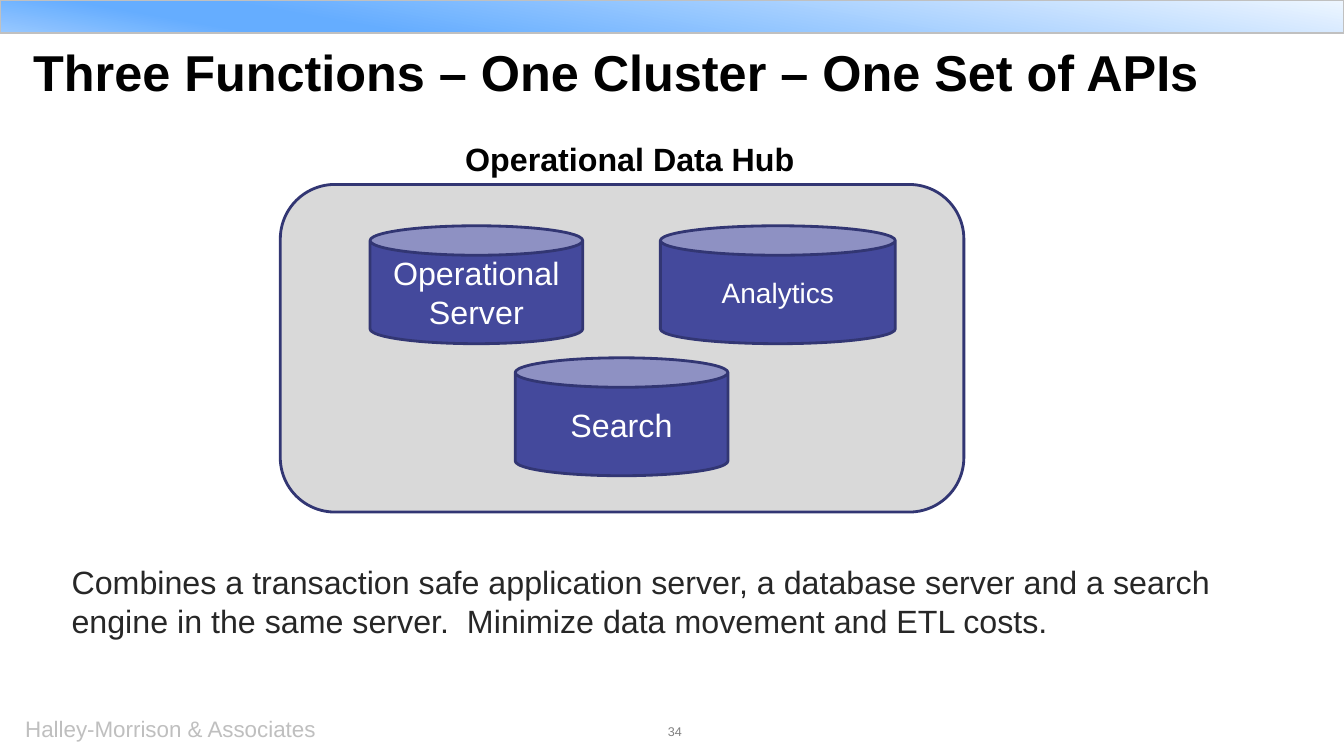
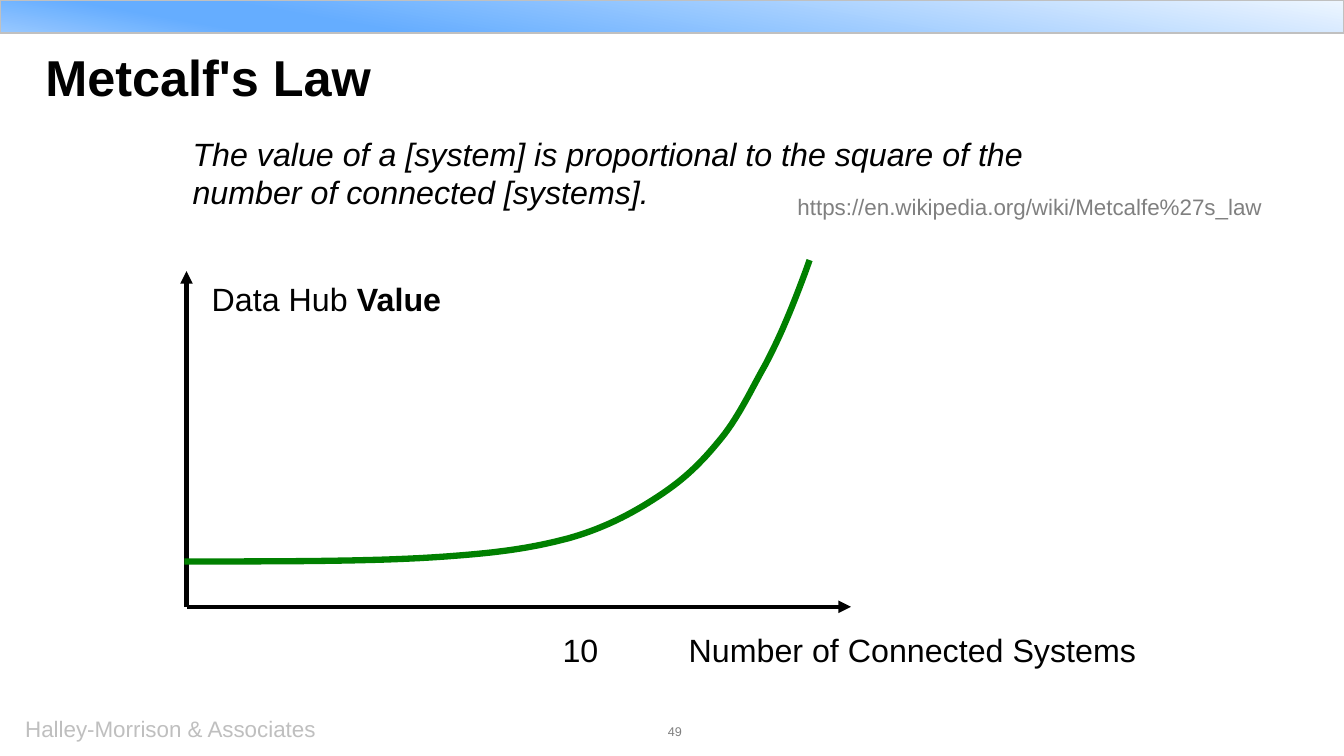
from dataclasses import dataclass

from lxml.etree import SubElement
from pptx import Presentation
from pptx.dml.color import RGBColor
from pptx.enum.shapes import MSO_CONNECTOR, MSO_SHAPE
from pptx.enum.text import MSO_ANCHOR, PP_ALIGN
from pptx.oxml.ns import qn
from pptx.shapes.autoshape import Shape
from pptx.slide import Slide
from pptx.text.text import TextFrame
from pptx.util import Inches, Pt

FONT = "Arial"
COLORS = {
    "ink": "010101",
    "body": "272727",
    "grey": "808080",
    "footer": "BFBFBF",
    "band_line": "C0C0C0",
    "panel": "D9D9D9",
    "can": "44499C",
    "outline": "323673",
    "white": "FFFFFF",
    "curve": "008000",
}
BAND_STOPS = [(0, "EEF6FF"), (74, "65ADFF"), (83, "65ADFF"), (100, "98C8FF")]
SLIDE_WIDTH, SLIDE_HEIGHT = 13.33, 7.5
COMPANY = "Halley-Morrison & Associates"


@dataclass(frozen=True)
class Style:
    size: float = 23
    color: str = "ink"
    bold: bool = False
    italic: bool = False
    align: PP_ALIGN = PP_ALIGN.LEFT
    line_spacing: float | None = None


@dataclass(frozen=True)
class Area:
    left: float
    top: float
    width: float
    height: float

    def lengths(self) -> list[Inches]:
        return [Inches(value) for value in (self.left, self.top, self.width, self.height)]


@dataclass(frozen=True)
class Can:
    text: str
    area: Area
    size: float = 23


PLAIN = Style()
TITLE = Style(36, bold=True, line_spacing=40)
QUOTE = Style(italic=True)
BODY = Style(color="body")
HEADING = Style(bold=True, align=PP_ALIGN.CENTER)
LINK = Style(16, "grey")
FOOTER = Style(16, "footer")
PAGE_NUMBER = Style(9, "grey", align=PP_ALIGN.CENTER)

CANS = [
    Can("Operational\nServer", Area(3.67, 2.24, 2.11, 1.17)),
    Can("Analytics", Area(6.55, 2.24, 2.33, 1.17), 20),
    Can("Search", Area(5.11, 3.55, 2.11, 1.17)),
]

AXIS_ORIGIN = (1.85, 6.02)
AXIS_ENDS = [(1.85, 2.69), (8.44, 6.02)]
CURVE_START = (1.83, 5.57)
# Each entry holds two control points and the end of one Bézier segment.
CURVE_SEGMENTS = [
    ((2.74, 5.57), (3.65, 5.57), (4.28, 5.53)),
    ((4.92, 5.49), (5.26, 5.44), (5.64, 5.34)),
    ((6.03, 5.23), (6.33, 5.06), (6.58, 4.89)),
    ((6.83, 4.72), (6.99, 4.55), (7.16, 4.34)),
    ((7.33, 4.13), (7.47, 3.83), (7.59, 3.62)),
    ((7.70, 3.41), (7.77, 3.25), (7.84, 3.08)),
    ((7.91, 2.91), (8.00, 2.67), (8.03, 2.58)),
]
CURVE_STEPS = 16


def rgb(name: str) -> RGBColor:
    return RGBColor.from_string(COLORS[name])


def format_text(frame: TextFrame, style: Style) -> None:
    for paragraph in frame.paragraphs:
        paragraph.alignment = style.align
        if style.line_spacing:
            paragraph.line_spacing = Pt(style.line_spacing)
        for span in paragraph.runs:
            font = span.font
            font.name, font.size = FONT, Pt(style.size)
            font.bold, font.italic = style.bold, style.italic
            font.color.rgb = rgb(style.color)


def add_text(page: Slide, text: str, area: Area, style: Style = PLAIN,
             wrap: bool = False) -> Shape:
    """Place a text box without margins."""
    box = page.shapes.add_textbox(*area.lengths())
    frame = box.text_frame
    frame.margin_left = frame.margin_top = frame.margin_right = frame.margin_bottom = 0
    frame.word_wrap = wrap
    frame.text = text
    format_text(frame, style)
    return box


def add_box(page: Slide, kind: MSO_SHAPE, area: Area, fill: str, line: str,
            line_width: float) -> Shape:
    box = page.shapes.add_shape(kind, *area.lengths())
    box.shadow.inherit = False
    box.fill.solid()
    box.fill.fore_color.rgb = rgb(fill)
    box.line.color.rgb = rgb(line)
    box.line.width = Pt(line_width)
    return box


def add_band(page: Slide) -> None:
    area = Area(0, 0, SLIDE_WIDTH, 0.33)
    band = add_box(page, MSO_SHAPE.RECTANGLE, area, "white", "band_line", 1)
    band.fill.gradient()
    band.fill.gradient_angle = 260
    stop_list = band.element.spPr.find(f".//{qn('a:gsLst')}")
    for stop in list(stop_list):
        stop_list.remove(stop)
    for percent, color in BAND_STOPS:
        stop = SubElement(stop_list, qn("a:gs"), pos=str(percent * 1000))
        SubElement(stop, qn("a:srgbClr"), val=color)


def add_page(deck: Presentation, title: str, title_area: Area, number: int) -> Slide:
    """Add a slide with the shared band, footer, page number and title."""
    page = deck.slides.add_slide(deck.slide_layouts[6])
    add_text(page, COMPANY, Area(0.25, 7.09, 3.6, 0.27), FOOTER)
    add_text(page, str(number), Area(3.93, 7.18, 5.53, 0.3), PAGE_NUMBER, wrap=True)
    add_band(page)
    add_text(page, title, title_area, TITLE, wrap=True)
    return page


def add_can(page: Slide, can: Can) -> None:
    box = add_box(page, MSO_SHAPE.CAN, can.area, "can", "outline", 2)
    frame = box.text_frame
    frame.word_wrap = True
    frame.vertical_anchor = MSO_ANCHOR.MIDDLE
    frame.text = can.text
    format_text(frame, Style(can.size, "white", align=PP_ALIGN.CENTER))


def add_axis(page: Slide, end: tuple[float, float]) -> None:
    points = [Inches(value) for value in (*AXIS_ORIGIN, *end)]
    axis = page.shapes.add_connector(MSO_CONNECTOR.STRAIGHT, *points)
    axis.line.color.rgb = rgb("ink")
    axis.line.width = Pt(3)
    SubElement(axis.line._get_or_add_ln(), qn("a:tailEnd"), type="triangle")
    SubElement(axis.element.spPr, qn("a:effectLst"))


def curve_points() -> list[tuple[Inches, Inches]]:
    """Sample the Bézier segments at equal parameter steps."""
    points = []
    start = CURVE_START
    for first, second, end in CURVE_SEGMENTS:
        for step in range(1, CURVE_STEPS + 1):
            t = step / CURVE_STEPS
            weights = ((1 - t) ** 3, 3 * t * (1 - t) ** 2, 3 * t ** 2 * (1 - t), t ** 3)
            anchors = (start, first, second, end)
            x, y = (sum(weight * anchor[axis] for weight, anchor in zip(weights, anchors))
                    for axis in (0, 1))
            points.append((Inches(x), Inches(y)))
        start = end
    return points


def add_curve(page: Slide) -> None:
    start_x, start_y = CURVE_START
    builder = page.shapes.build_freeform(Inches(start_x), Inches(start_y))
    builder.add_line_segments(curve_points(), close=False)
    curve = builder.convert_to_shape()
    curve.shadow.inherit = False
    curve.fill.background()
    curve.line.color.rgb = rgb("curve")
    curve.line.width = Pt(4.5)


def build_functions_page(deck: Presentation) -> None:
    page = add_page(deck, "Three Functions – One Cluster – One Set of APIs",
                    Area(0.33, 0.45, 12, 0.64), 34)
    add_box(page, MSO_SHAPE.ROUNDED_RECTANGLE, Area(2.78, 1.83, 6.78, 3.25),
            "panel", "outline", 2)
    add_text(page, "Combines a transaction safe application server, a database server "
             "and a search engine in the same server.  Minimize data movement and ETL costs.",
             Area(0.71, 5.58, 12.03, 0.76), BODY, wrap=True)
    for can in CANS:
        add_can(page, can)
    add_text(page, "Operational Data Hub", Area(4.5, 1.38, 3.5, 0.39), HEADING)


def build_law_page(deck: Presentation) -> None:
    page = add_page(deck, "Metcalf's Law", Area(0.45, 0.5, 10.47, 0.64), 49)
    add_text(page, "The value of a [system] is proportional to the square of the "
             "number of connected [systems].", Area(1.91, 1.33, 9, 0.77), QUOTE, wrap=True)
    add_text(page, "https://en.wikipedia.org/wiki/Metcalfe%27s_law",
             Area(7.91, 1.92, 4.66, 0.27), LINK)
    for end in AXIS_ENDS:
        add_axis(page, end)
    value_label = add_text(page, "Data Hub ", Area(2.1, 2.77, 2.3, 0.39))
    value_paragraph = value_label.text_frame.paragraphs[0]
    value_paragraph.add_run().text = "Value"
    format_text(value_label.text_frame, PLAIN)
    value_paragraph.runs[-1].font.bold = True
    add_text(page, "Number of Connected Systems", Area(6.83, 6.25, 4.48, 0.39))
    add_curve(page)
    add_text(page, "10", Area(5.58, 6.25, 0.5, 0.39), wrap=True)


def main() -> None:
    deck = Presentation()
    deck.slide_width, deck.slide_height = Inches(SLIDE_WIDTH), Inches(SLIDE_HEIGHT)
    build_functions_page(deck)
    build_law_page(deck)
    deck.save("out.pptx")


if __name__ == "__main__":
    main()
